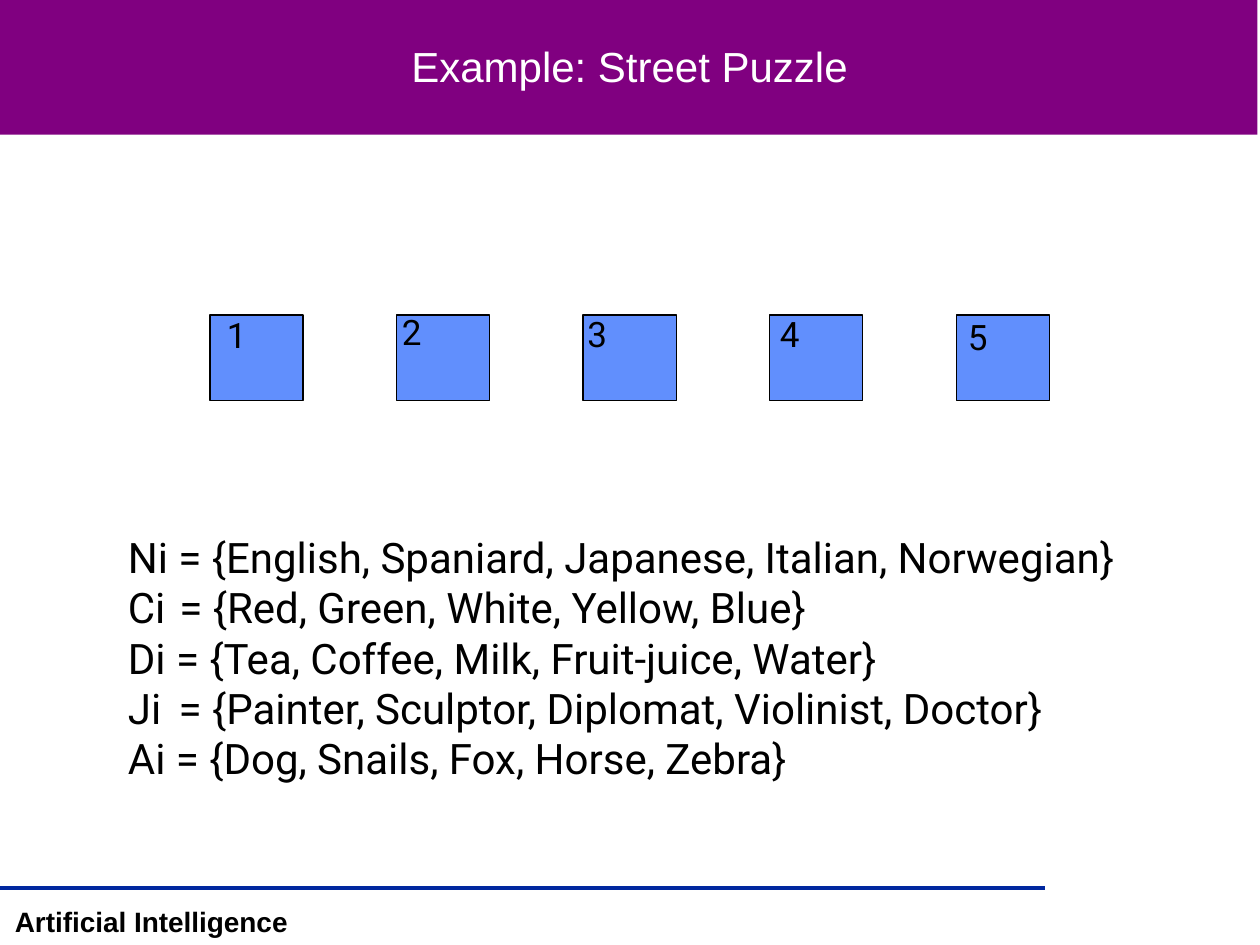
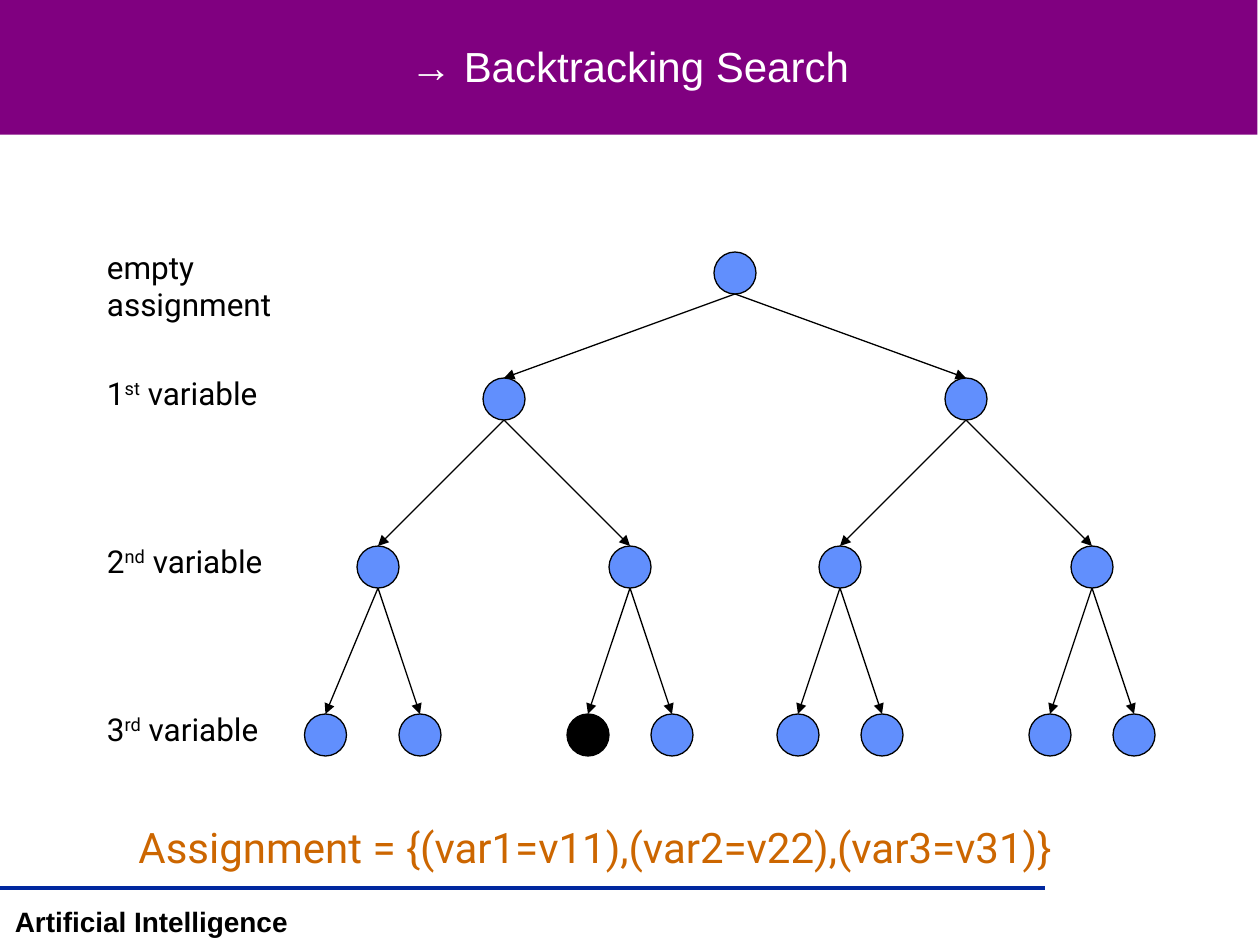
"""Two lecture slides: the street puzzle and backtracking search."""
from dataclasses import dataclass
from typing import Optional

import pptx
import pptx.dml.color
import pptx.enum.shapes
import pptx.enum.text
import pptx.oxml.ns
import pptx.util
from lxml import etree

Pt = pptx.util.Pt
SHAPE = pptx.enum.shapes.MSO_SHAPE
ALIGN = pptx.enum.text.PP_ALIGN
ANCHOR = pptx.enum.text.MSO_ANCHOR

PURPLE, NAVY, BLUE = "800080", "00279F", "618FFD"
BLACK, WHITE, ORANGE = "000000", "FFFFFF", "CC6600"
HEAD_FONT, BODY_FONT = "Arial", "Roboto"


@dataclass
class Piece:
    """A run of text, optionally raised or letter-spaced (points)."""
    text: str
    raised: bool = False
    spacing: float = 0


@dataclass
class Style:
    """How the paragraphs of a text box look."""
    size: float
    font: str = BODY_FONT
    color: str = BLACK
    bold: bool = False
    align: ALIGN = ALIGN.LEFT
    anchor: ANCHOR = ANCHOR.TOP


@dataclass
class Level:
    """A row of tree nodes: its top edge, node centres and label."""
    top: float
    centers: list[float]
    label: list[Piece]


TITLE = Style(24, HEAD_FONT, WHITE, align=ALIGN.CENTER, anchor=ANCHOR.MIDDLE)
FOOTER = Style(16, HEAD_FONT, bold=True, align=ALIGN.CENTER)


def rgb(color: str) -> pptx.dml.color.RGBColor:
    """Turn a hex string into a colour."""
    return pptx.dml.color.RGBColor.from_string(color)


def add_text(s, left: float, top: float, width: float, height: float,
             lines: list[list[Piece]], style: Style) -> None:
    """Add a text box with one paragraph per line."""
    tf = s.shapes.add_textbox(Pt(left), Pt(top), Pt(width), Pt(height)).text_frame
    tf.word_wrap = True
    tf.vertical_anchor = style.anchor
    for i, line in enumerate(lines):
        p = tf.add_paragraph() if i else tf.paragraphs[0]
        p.alignment = style.align
        p.font.name, p.font.size, p.font.bold = style.font, Pt(style.size), style.bold
        p.font.color.rgb = rgb(style.color)
        for piece in line:
            if piece.text == "\n":
                p.add_line_break()
                continue
            r = p.add_run()
            r.text = piece.text
            if piece.raised:
                r.font._element.set("baseline", "30000")
            if piece.spacing:
                r.font._element.set("spc", str(round(piece.spacing * 100)))


def add_shape(s, kind: SHAPE, left: float, top: float, width: float, height: float,
              fill: str, line: Optional[str] = BLACK) -> None:
    """Add a flat preset shape, outlined unless line is None."""
    sp = s.shapes.add_shape(kind, Pt(left), Pt(top), Pt(width), Pt(height))
    sp.shadow.inherit = False
    sp.fill.solid()
    sp.fill.fore_color.rgb = rgb(fill)
    if line is None:
        sp.line.fill.background()
    else:
        sp.line.color.rgb = rgb(line)
        sp.line.width = Pt(0.75)


def add_line(s, x1: float, y1: float, x2: float, y2: float,
             color: str = BLACK, width: float = 0.75, arrow: bool = False) -> None:
    """Add a straight line, with an arrowhead at its end on request."""
    c = s.shapes.add_connector(pptx.enum.shapes.MSO_CONNECTOR.STRAIGHT,
                               Pt(x1), Pt(y1), Pt(x2), Pt(y2))
    c.line.color.rgb = rgb(color)
    c.line.width = Pt(width)
    qn = pptx.oxml.ns.qn
    if arrow:
        etree.SubElement(c.line._get_or_add_ln(), qn("a:tailEnd"), type="triangle")
    etree.SubElement(c._element.spPr, qn("a:effectLst"))


def add_slide(prs, title: str):
    """Add a slide with the title band and the footer."""
    s = prs.slides.add_slide(prs.slide_layouts[6])
    add_shape(s, SHAPE.RECTANGLE, 0, 0, 718.5, 77, PURPLE, None)
    add_line(s, 0, 507.5, 597, 507.5, NAVY, 2)
    add_text(s, 0, 513.5, 173, 26.5, [[Piece("Artificial Intelligence")]], FOOTER)
    add_text(s, 1.5, 1, 716.5, 73.5, [[Piece(title)]], TITLE)
    return s


def build_puzzle(prs) -> None:
    """Five numbered houses above the domains of their variables."""
    s = add_slide(prs, "Example: Street Puzzle")
    for i in range(5):
        add_shape(s, SHAPE.RECTANGLE, 120 + 106.6 * i, 180, 53.3, 49, BLUE)
    number_spots = [(122.5, 175.5), (222.5, 174), (328.5, 175), (438.5, 175), (546, 176.5)]
    for number, (left, top) in enumerate(number_spots, 1):
        add_text(s, left, top, 26, 31, [[Piece(str(number))]], Style(20))
    domains = [
        ("Ni", 0, "English, Spaniard, Japanese, Italian, Norwegian"),
        ("Ci", 2, "Red, Green, White, Yellow, Blue"),
        ("Di", 0, "Tea, Coffee, Milk, Fruit-juice, Water"),
        ("Ji", 4, "Painter, Sculptor, Diplomat, Violinist, Doctor"),
        ("Ai", 0, "Dog, Snails, Fox, Horse, Zebra"),
    ]
    lines = [[Piece(name), Piece(" ", spacing=gap), Piece(f"= {{{values}}}")]
             for name, gap, values in domains]
    add_text(s, 66, 300, 600, 151, lines, Style(24))


def ordinal(number: str, suffix: str) -> list[Piece]:
    """Label a level with a raised ordinal suffix."""
    return [Piece(number), Piece(suffix, raised=True), Piece(" variable")]


def build_search(prs) -> None:
    """A binary search tree with one assignment reached."""
    s = add_slide(prs, "→ Backtracking Search")
    node = 24
    levels = [
        Level(144, [420], [Piece("empty"), Piece("\n"), Piece("assignment")]),
        Level(216, [288, 552], ordinal("1", "st")),
        Level(312, [216, 360, 480, 624], ordinal("2", "nd")),
        Level(408, [186, 240, 336, 384, 456, 504, 600, 648], ordinal("3", "rd")),
    ]
    reached = (3, 2)
    for depth, level in enumerate(levels):
        for i, x in enumerate(level.centers):
            fill = BLACK if (depth, i) == reached else BLUE
            add_shape(s, SHAPE.OVAL, x - node / 2, level.top, node, node, fill)
            if depth:
                parent = levels[depth - 1]
                add_line(s, parent.centers[i // 2], parent.top + node,
                         x, level.top, arrow=True)
        add_text(s, 54, level.top - 6, 120, 29, [level.label], Style(18))
    add_text(s, 72, 466, 569, 36,
             [[Piece("Assignment = {(var1=v11),(var2=v22),(var3=v31)}")]],
             Style(24, color=ORANGE))


def main() -> None:
    """Build and save the slides."""
    prs = pptx.Presentation()
    prs.slide_width, prs.slide_height = Pt(720), Pt(540)
    build_puzzle(prs)
    build_search(prs)
    prs.save("out.pptx")


main()
